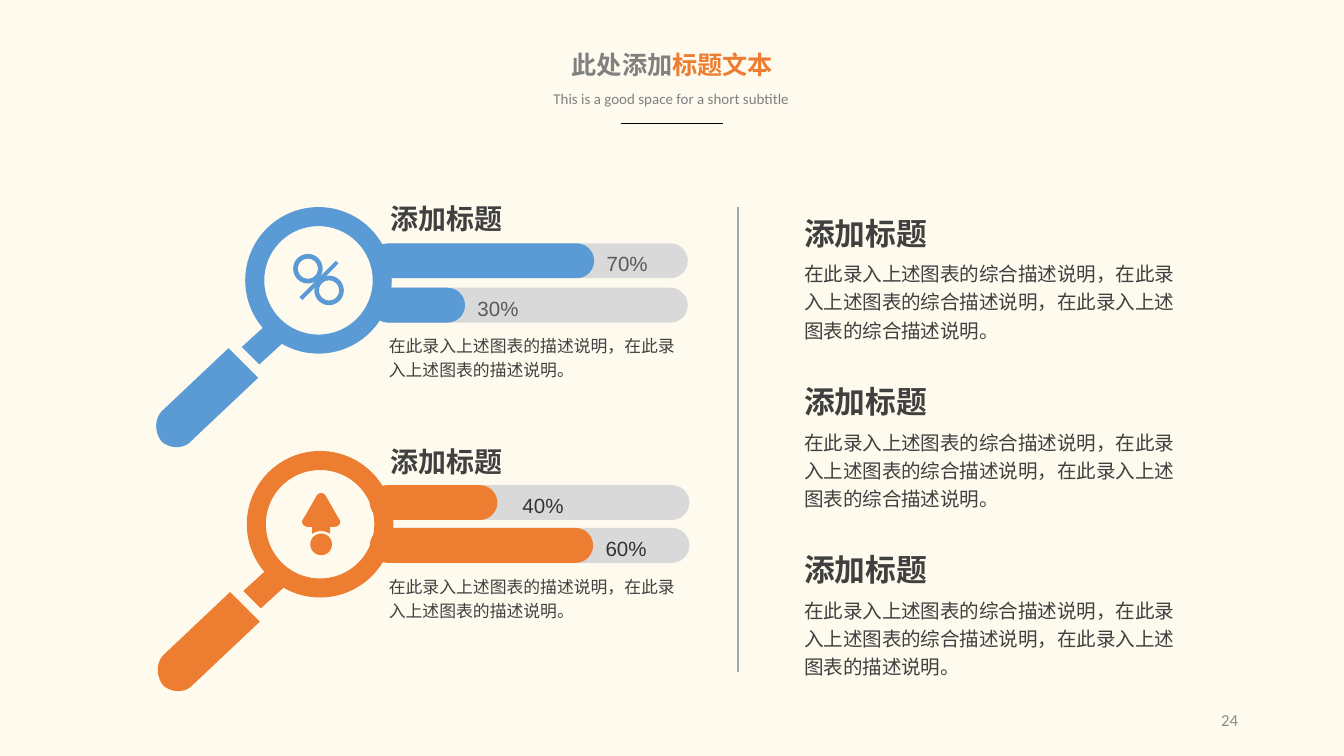
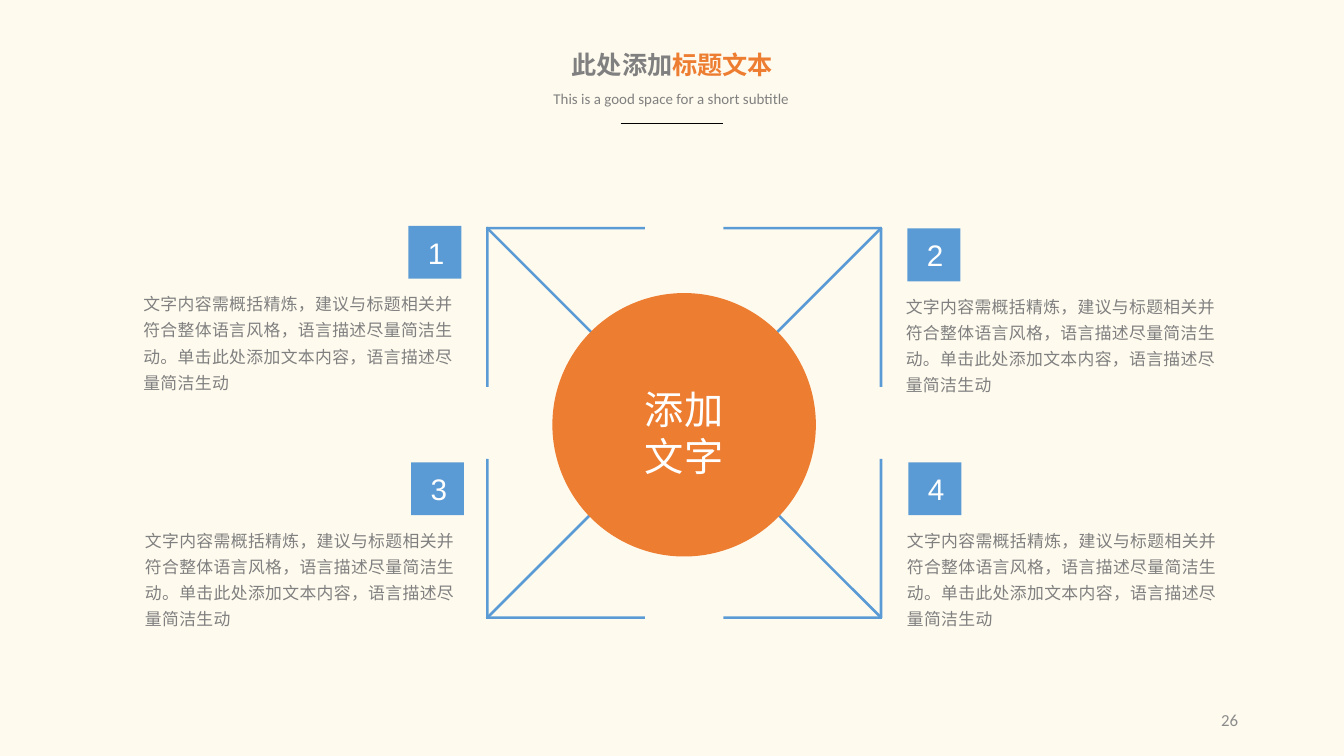
from lxml import etree
from pptx import Presentation
from pptx.dml.color import RGBColor
from pptx.enum.shapes import MSO_CONNECTOR, MSO_SHAPE
from pptx.enum.text import MSO_ANCHOR, MSO_AUTO_SIZE, PP_ALIGN
from pptx.oxml.ns import qn
from pptx.util import Cm, Pt

CREAM = RGBColor(0xFE, 0xFA, 0xEE)
BLUE = RGBColor(0x5B, 0x9B, 0xD5)
ORANGE = RGBColor(0xED, 0x7D, 0x31)
WHITE = RGBColor(0xFF, 0xFF, 0xFF)
BLACK = RGBColor(0x00, 0x00, 0x00)
TRACK_GRAY = RGBColor(0xD9, 0xD9, 0xD9)
DIVIDER_GRAY = RGBColor(0x9D, 0xA8, 0xB1)
TITLE_GRAY = RGBColor(0x80, 0x80, 0x80)
PAGE_GRAY = RGBColor(0x8C, 0x8C, 0x8C)
DARK_GRAY = RGBColor(0x40, 0x40, 0x40)
BLUE_BAR_TEXT = RGBColor(0x59, 0x59, 0x59)
ORANGE_BAR_TEXT = RGBColor(0x33, 0x33, 0x33)

CJK, ARIAL, CALIBRI = "Noto Sans CJK SC", "Arial", "Calibri"
LEFT, CENTER, RIGHT = PP_ALIGN.LEFT, PP_ALIGN.CENTER, PP_ALIGN.RIGHT
TOP, MIDDLE = MSO_ANCHOR.TOP, MSO_ANCHOR.MIDDLE
GROW, FIXED = MSO_AUTO_SIZE.SHAPE_TO_FIT_TEXT, MSO_AUTO_SIZE.NONE
RECT, PILL = MSO_SHAPE.RECTANGLE, MSO_SHAPE.ROUNDED_RECTANGLE
ELLIPSE, DONUT = MSO_SHAPE.OVAL, MSO_SHAPE.DONUT
STRAIGHT = MSO_CONNECTOR.STRAIGHT

TIGHT_INSETS = (0.19, 0.1, 0.19, 0.1)
NORMAL_INSETS = (0.25, 0.13, 0.25, 0.13)

HEADING = "添加标题"
BAR_NOTE = "在此录入上述图表的描述说明，在此录入上述图表的描述说明。"
SUMMARY = "在此录入上述图表的综合描述说明，" * 2
SUMMARIES = [
    SUMMARY + "在此录入上述图表的综合描述说明。",
    SUMMARY + "在此录入上述图表的综合描述说明。",
    SUMMARY + "在此录入上述图表的描述说明。",
]
POINT_NOTE = ("文字内容需概括精炼，建议与标题相关并符合整体语言风格，语言描述尽量简洁生动。"
              "单击此处添加文本内容，语言描述尽量简洁生动")


def style_run(run, size, color, font, bold=False, tracking=None):
    run.font.size = Pt(size)
    run.font.color.rgb = color
    run.font.name = font
    run.font.bold = bold
    properties = run._r.get_or_add_rPr()
    etree.SubElement(properties, qn("a:ea"), typeface=CJK)
    if tracking is not None:
        properties.set("spc", str(round(tracking * 100)))


def set_frame(frame, insets=NORMAL_INSETS, wrap=True, anchor=TOP, fit=GROW):
    (frame.margin_left, frame.margin_top,
     frame.margin_right, frame.margin_bottom) = map(Cm, insets)
    frame.word_wrap = wrap
    frame.vertical_anchor = anchor
    frame.auto_size = fit


def write(frame, text, size, color, font=CJK, align=LEFT, spacing=None, **run_style):
    frame.text = text
    for paragraph in frame.paragraphs:
        paragraph.alignment = align
        if spacing:
            paragraph.line_spacing = spacing
        for run in paragraph.runs:
            style_run(run, size, color, font, **run_style)


def add_text(slide, box, text, size, color, frame=None, **style):
    frame_box = slide.shapes.add_textbox(*map(Cm, box))
    set_frame(frame_box.text_frame, **(frame or {}))
    write(frame_box.text_frame, text, size, color, **style)


def paint(shape, color):
    shape.shadow.inherit = False
    shape.fill.solid()
    shape.fill.fore_color.rgb = color
    shape.line.fill.background()
    return shape


def add_preset(slide, kind, box, color, adjustment=None):
    shape = paint(slide.shapes.add_shape(kind, *map(Cm, box)), color)
    if adjustment is not None:
        shape.adjustments[0] = adjustment
    return shape


def add_round(slide, kind, center, diameter, color, adjustment=None):
    """Add a circle or ring around its center."""
    x, y = center
    box = (x - diameter / 2, y - diameter / 2, diameter, diameter)
    return add_preset(slide, kind, box, color, adjustment)


def add_outline(slide, origin, points, color):
    """Add a closed polygon whose points are relative to origin."""
    corners = [(Cm(origin[0] + x), Cm(origin[1] + y)) for x, y in points]
    builder = slide.shapes.build_freeform(*corners[0])
    builder.add_line_segments(corners[1:], close=True)
    paint(builder.convert_to_shape(), color)


def add_line(slide, start, end, color, width):
    line = slide.shapes.add_connector(STRAIGHT, *map(Cm, (*start, *end)))
    line.line.color.rgb = color
    line.line.width = Pt(width)
    etree.SubElement(line._element.spPr, qn("a:effectLst"))


def curve(*controls, steps=12):
    """Return points along a cubic Bezier curve."""
    weights = [((1 - t) ** 3, 3 * t * (1 - t) ** 2, 3 * t * t * (1 - t), t ** 3)
               for t in (step / steps for step in range(steps + 1))]
    return [tuple(sum(w * point[axis] for w, point in zip(row, controls))
                  for axis in (0, 1)) for row in weights]


def add_page(prs, number):
    """Add a slide with the shared heading and page number."""
    slide = prs.slides.add_slide(prs.slide_layouts[5])
    title = slide.shapes.title
    title.left, title.top, title.width, title.height = map(Cm, (10.52, 0.81, 4.37, 0.84))
    set_frame(title.text_frame, wrap=False)
    paragraph = title.text_frame.paragraphs[0]
    paragraph.alignment = CENTER
    for text, color in (("此处添加", TITLE_GRAY), ("标题文本", ORANGE)):
        run = paragraph.add_run()
        run.text = text
        style_run(run, 13.5, color, CALIBRI, bold=True)
    add_text(slide, (10.19, 1.57, 5, 0.61), "This is a good space for a short subtitle",
             8, TITLE_GRAY, frame={"wrap": False}, font=CALIBRI, align=CENTER)
    add_line(slide, (11.73, 2.34), (13.67, 2.34), BLACK, 0.5)
    add_text(slide, (17.93, 13.23, 5.72, 0.76), str(number), 9, PAGE_GRAY,
             frame={"anchor": MIDDLE, "fit": FIXED}, font=CALIBRI, align=RIGHT)
    return slide


def add_percent_bar(slide, track_left, fill_left, top, fill_width, label,
                    label_width, color, label_color):
    add_preset(slide, PILL, (track_left, top, 5.99, 0.66), TRACK_GRAY, 0.5)
    add_preset(slide, PILL, (fill_left, top, fill_width, 0.66), color, 0.5)
    add_text(slide, (fill_left + fill_width - 0.05, top - 0.07, label_width, 0.81),
             label, 11, label_color, font=ARIAL, align=CENTER, spacing=1.2)


def add_magnifier(slide, center, color):
    neck = [(-0.56, 1.08), (-1.12, 1.59), (-1.45, 1.26), (-0.89, 0.75)]
    grip = [(-1.7, 1.28),
            *curve((-2.97, 2.48), (-3.1, 2.63), (-3.1, 2.86), (-2.97, 3.04)),
            *curve((-2.97, 3.04), (-2.82, 3.19), (-2.54, 3.19), (-2.41, 3.04)),
            (-1.14, 1.84)]
    add_outline(slide, center, neck, color)
    add_round(slide, DONUT, center, 2.77, color, 0.13)
    add_outline(slide, center, grip, color)


def add_percent_sign(slide, center, color):
    x, y = center
    for dx, dy in ((-0.2, -0.22), (0.2, 0.19)):
        add_round(slide, DONUT, (x + dx, y + dy), 0.56, color, 0.16)
    slash = [(0.38, -0.32), (-0.3, 0.37), (-0.36, 0.32), (0.33, -0.37)]
    add_outline(slide, center, slash, color)


def add_arrow_sign(slide, center, color):
    right_half = [*curve((0, -0.59), (0.04, -0.59), (0.07, -0.56), (0.09, -0.53)),
                  (0.29, -0.18),
                  *curve((0.34, -0.1), (0.39, -0.03), (0.34, 0.05), (0.24, 0.05)),
                  (0.17, 0.05),
                  *curve((0.17, 0.18), (0.12, 0.15), (0.06, 0.13), (0, 0.13))]
    left_half = [(-x, y) for x, y in reversed(right_half)]
    x, y = center
    add_outline(slide, (x + 0.02, y), right_half + left_half, color)
    add_round(slide, ELLIPSE, (x + 0.02, y + 0.38), 0.41, color)


def add_section(slide, heading_box, body_box, body, heading_size, body_size):
    add_text(slide, heading_box, HEADING, heading_size, DARK_GRAY,
             frame={"insets": TIGHT_INSETS, "wrap": False}, bold=True)
    add_text(slide, body_box, body, body_size, DARK_GRAY,
             frame={"insets": TIGHT_INSETS}, spacing=1.2)


def build_magnifier_slide(prs):
    slide = add_page(prs, 24)
    add_line(slide, (13.94, 3.91), (13.94, 12.7), DIVIDER_GRAY, 1)

    blue_bars = [(4.6, 4.22, "70%", 1.35), (5.44, 1.78, "30%", 1.35)]
    orange_bars = [(9.17, 2.41, "40%", 1.83), (9.98, 4.22, "60%", 1.35)]
    groups = [
        ((6.02, 5.3), BLUE, BLUE_BAR_TEXT, 7.01, 7.01, blue_bars,
         add_percent_sign, 3.71, 6.17),
        ((6.05, 9.91), ORANGE, ORANGE_BAR_TEXT, 7.04, 6.99, orange_bars,
         add_arrow_sign, 8.31, 10.72),
    ]
    for (center, color, label_color, track_left, fill_left, bars,
         add_sign, heading_top, note_top) in groups:
        for top, fill_width, label, label_width in bars:
            add_percent_bar(slide, track_left, fill_left, top, fill_width,
                            label, label_width, color, label_color)
        add_magnifier(slide, center, color)
        add_sign(slide, center, color)
        add_section(slide, (7.19, heading_top, 2.51, 0.84),
                    (7.16, note_top, 5.87, 1.12), BAR_NOTE, 15, 9)

    for index, summary in enumerate(SUMMARIES):
        top = 3.96 + 3.18 * index
        add_section(slide, (15.01, top, 2.74, 0.89),
                    (15.01, top + 0.81, 7.54, 1.8), summary, 16.5, 10.5)


def add_stroke(slide, center, length, rotation):
    """Add a thin bar turned about its center."""
    x, y = center
    box = (x - length / 2, y - 0.03, length, 0.05)
    add_preset(slide, RECT, box, BLUE).rotation = rotation


def add_corner(slide, center, side_x, side_y):
    """Add one corner bracket with its diagonal; sides are -1 or 1."""
    x, y = center
    strokes = [(1.97, 1.93, 4.98, 45 * side_x * side_y),
               (2.24, 3.68, 3, 0),
               (3.72, 2.18, 3, 90)]
    for dx, dy, length, rotation in strokes:
        add_stroke(slide, (x + side_x * dx, y + side_y * dy), length, rotation)


def add_point(slide, number, left, top, note_shift):
    badge = add_preset(slide, RECT, (left, top, 1, 1), BLUE)
    set_frame(badge.text_frame, (0.05, 0, 0, 0), False, MIDDLE, FIXED)
    write(badge.text_frame, str(number), 15.9, WHITE, font=ARIAL, align=CENTER)
    add_text(slide, (left + note_shift, top + 1.04, 6.55, 2.26), POINT_NOTE, 9,
             TITLE_GRAY, font=ARIAL, spacing=1.3, tracking=0.2)


def build_four_point_slide(prs):
    slide = add_page(prs, 26)
    for side_y in (-1, 1):
        for side_x in (-1, 1):
            add_corner(slide, (12.93, 8), side_x, side_y)

    hub = add_round(slide, ELLIPSE, (12.93, 8.03), 4.98, ORANGE)
    set_frame(hub.text_frame, (0, 0.28, 0, 0), True, MIDDLE, FIXED)
    write(hub.text_frame, "添加\n文字", 21, WHITE, font=ARIAL, align=CENTER)

    points = [(7.72, 4.27, -5.26), (17.15, 4.32, -0.28),
              (7.77, 8.74, -5.28), (17.17, 8.74, -0.28)]
    for number, (left, top, note_shift) in enumerate(points, start=1):
        add_point(slide, number, left, top, note_shift)


def main():
    prs = Presentation()
    prs.slide_width, prs.slide_height = Cm(25.4), Cm(14.29)
    background = prs.slide_master.background.fill
    background.solid()
    background.fore_color.rgb = CREAM
    build_magnifier_slide(prs)
    build_four_point_slide(prs)
    prs.save("out.pptx")


if __name__ == "__main__":
    main()
